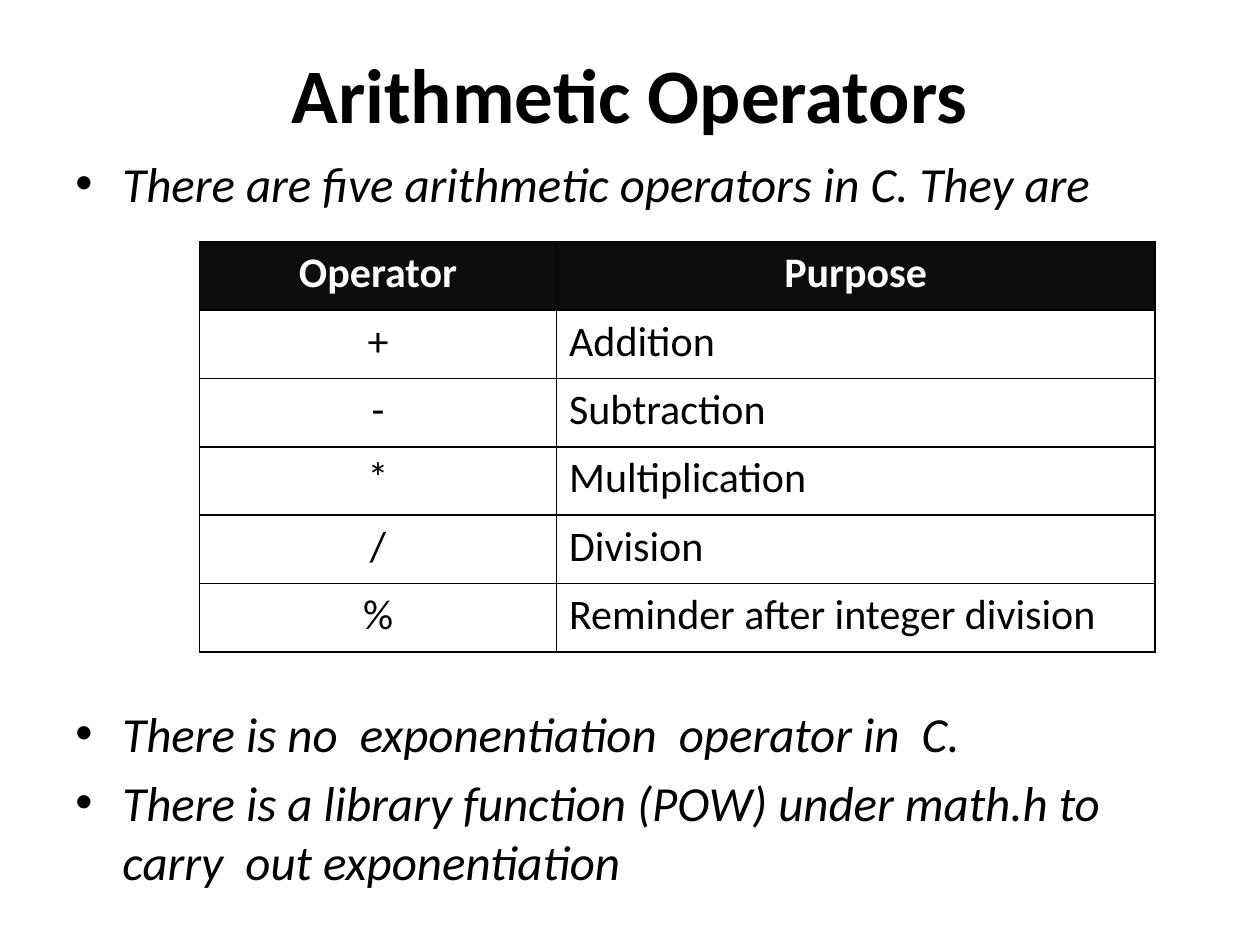
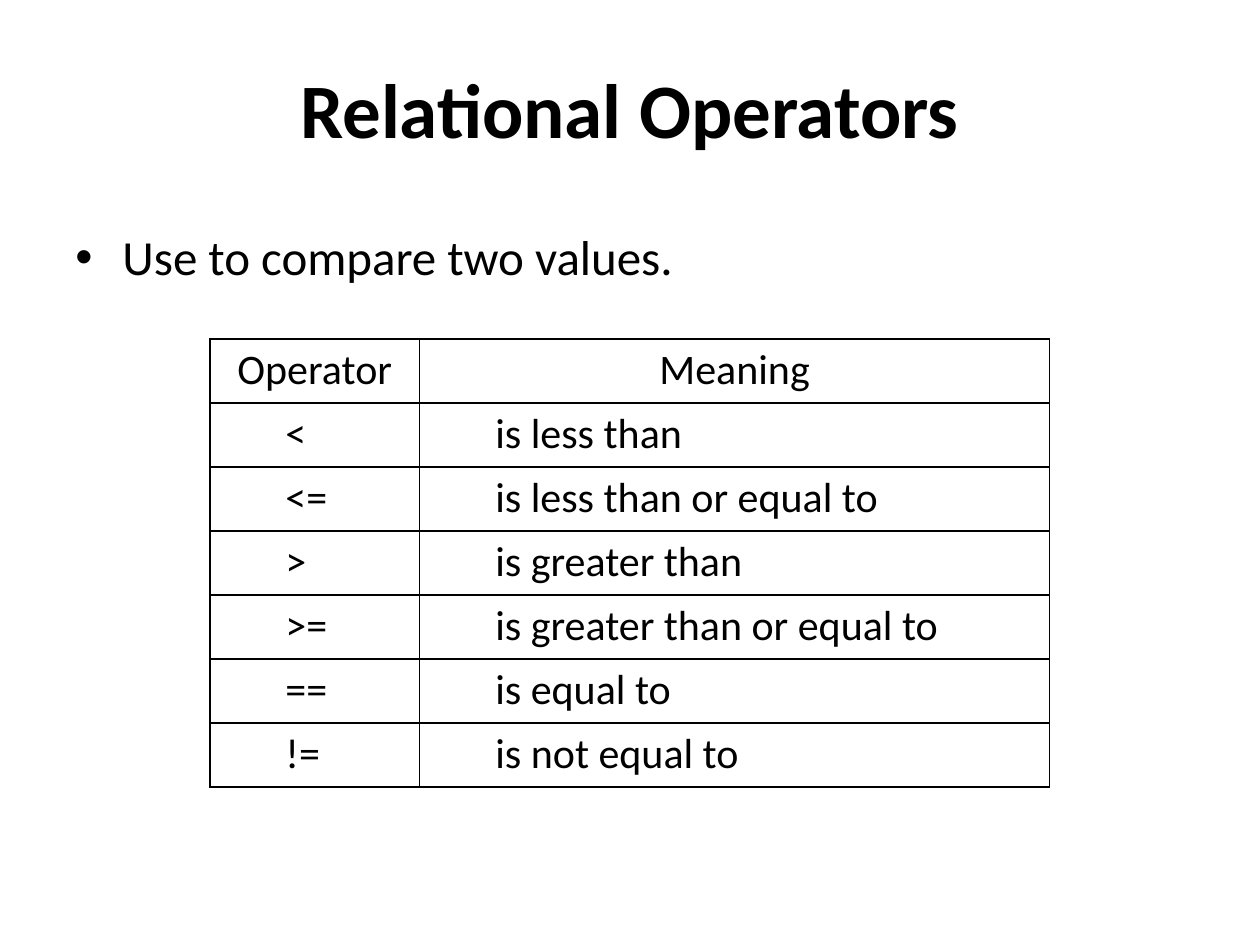
from lxml.etree import SubElement as Sub
from pptx import Presentation
from pptx.dml.color import RGBColor
from pptx.enum.text import MSO_ANCHOR as Anchor, PP_ALIGN as Align
from pptx.oxml.ns import qn
from pptx.util import Cm, Pt

BLACK = RGBColor(0x00, 0x00, 0x00)
WHITE = RGBColor(0xFF, 0xFF, 0xFF)
DARK = RGBColor(0x0D, 0x0D, 0x0D)
FONT = "Calibri"
LEFT, WIDE = 1.27, 22.86
HANG = 0.95

ARITH = [
    ("Operator", "Purpose"),
    ("+", "Addition"),
    ("-", "Subtraction"),
    ("*", "Multiplication"),
    ("/", "Division"),
    ("%", "Reminder after integer division"),
]
RELATE = [
    ("Operator", "Meaning"),
    ("<", "is less than"),
    ("<=", "is less than or equal to"),
    (">", "is greater than"),
    (">=", "is greater than or equal to"),
    ("==", "is equal to"),
    ("!=", "is not equal to"),
]


def write(para, text, size=24, color=BLACK, bold=False, italic=False,
          align=Align.LEFT, indent=0, bullet=False, before=0):
    props = para._p.get_or_add_pPr()
    if bullet:
        props.set("marL", str(Cm(HANG)))
        props.set("indent", str(-Cm(HANG)))
        Sub(props, qn("a:buFont"), typeface="Arial")
        Sub(props, qn("a:buChar"), char="•")
    elif indent:
        props.set("marL", str(Cm(indent)))
    para.alignment = align
    if before:
        para.space_before = Pt(before)
    run = para.add_run()
    run.text = text
    font = run.font
    font.name, font.size = FONT, Pt(size)
    font.bold, font.italic = bold, italic
    font.color.rgb = color


def add_box(slide, top, high):
    box = slide.shapes.add_textbox(Cm(LEFT), Cm(top), Cm(WIDE), Cm(high))
    box.text_frame.word_wrap = True
    return box.text_frame


def add_title(slide, text, top, high):
    frame = add_box(slide, top, high)
    frame.vertical_anchor = Anchor.MIDDLE
    write(frame.paragraphs[0], text, size=44, bold=True, align=Align.CENTER)


def add_points(slide, points, top, high, italic=False):
    frame = add_box(slide, top, high)
    for i, text in enumerate(points):
        para = frame.add_paragraph() if i else frame.paragraphs[0]
        write(para, text, size=28, italic=italic, bullet=True,
              before=5.6 if i else 0)


def rule(cell):
    """Draw a thin black line on all four sides of the cell."""
    props = cell._tc.get_or_add_tcPr()
    for side in "LRTB":
        line = Sub(props, qn(f"a:ln{side}"), w=str(Pt(1)))
        Sub(Sub(line, qn("a:solidFill")), qn("a:srgbClr"), val=str(BLACK))


def add_grid(slide, rows, left, top, cols, high, head, body):
    """Place a table; head is the header format, body one format a column."""
    frame = slide.shapes.add_table(len(rows), len(cols), Cm(left), Cm(top),
                                   Cm(sum(cols)), Cm(high * len(rows)))
    table = frame.table
    table.first_row = table.horz_banding = False
    for col, wide in zip(table.columns, cols):
        col.width = Cm(wide)
    for r, row in enumerate(rows):
        table.rows[r].height = Cm(high)
        for c, text in enumerate(row):
            cell = table.cell(r, c)
            rule(cell)
            style = body[c] if r else head
            if style.get("color") == WHITE:
                cell.fill.solid()
                cell.fill.fore_color.rgb = DARK
            else:
                cell.fill.background()
            write(cell.text_frame.paragraphs[0], text, **style)


def arith(slide):
    add_title(slide, "Arithmetic Operators", 0.76, 2.21)
    add_points(slide, ["There are five arithmetic operators in C. They are"],
               2.97, 1.5, italic=True)
    mid = {"align": Align.CENTER}
    add_grid(slide, ARITH, 4.02, 4.87, (7.2, 12.06), 1.38,
             head={"color": WHITE, "bold": True, **mid}, body=(mid, {}))
    add_points(slide, [
        "There is no  exponentiation  operator in  C.",
        "There is a library function (POW) under math.h to  carry  out exponentiation",
    ], 14.06, 4.35, italic=True)


def relate(slide):
    add_title(slide, "Relational Operators", 0.76, 2.84)
    add_points(slide, ["Use to compare two values."], 4.45, 1.5)
    add_grid(slide, RELATE, 4.23, 6.83, (4.23, 12.7), 1.29,
             head={"align": Align.CENTER}, body=({"indent": 1.27},) * 2)


def main():
    deck = Presentation()
    deck.slide_width, deck.slide_height = Cm(25.4), Cm(19.05)
    for build in (arith, relate):
        build(deck.slides.add_slide(deck.slide_layouts[6]))
    deck.save("out.pptx")


if __name__ == "__main__":
    main()
